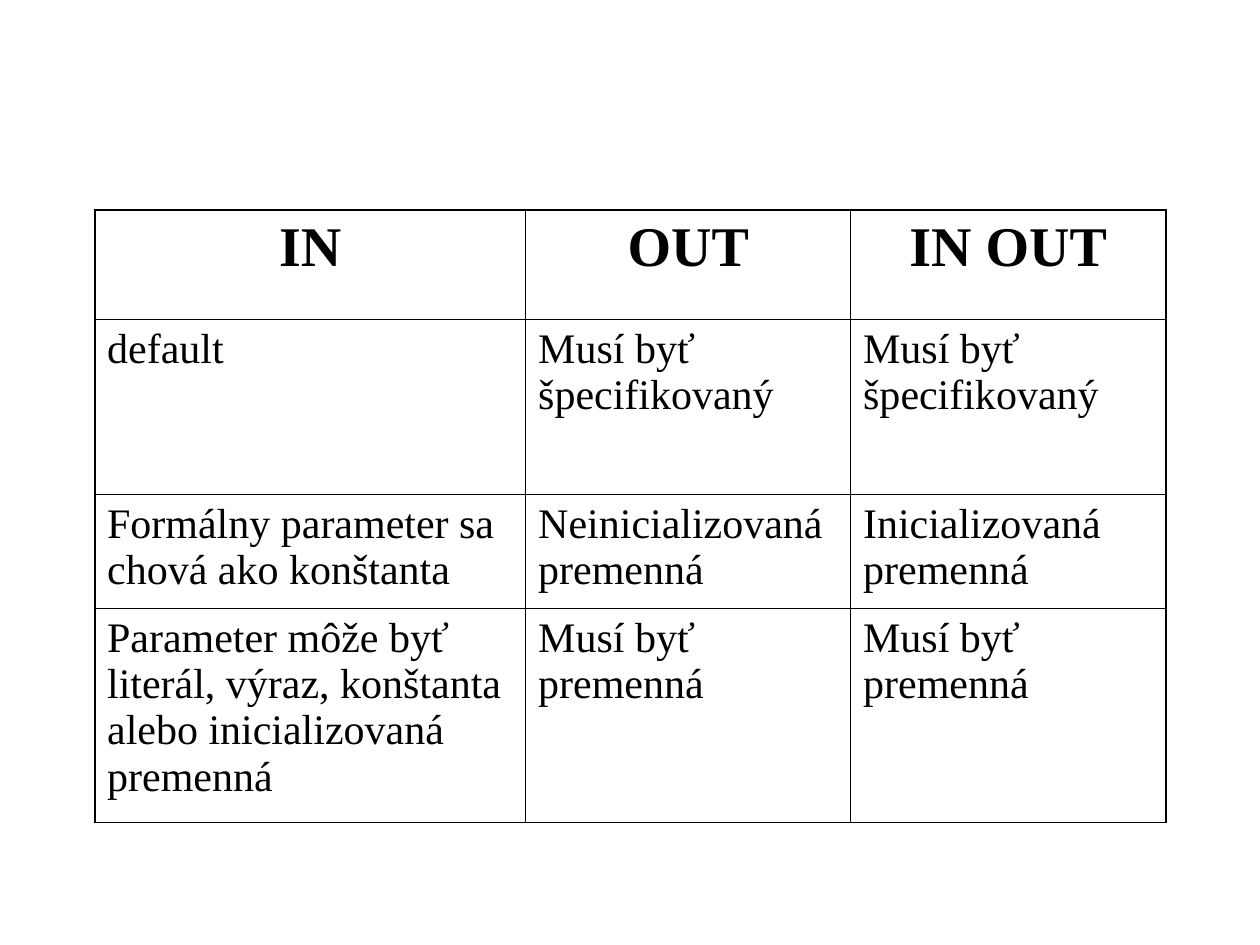
from dataclasses import dataclass

from lxml.etree import SubElement
from pptx import Presentation
from pptx.dml.color import RGBColor
from pptx.enum.text import MSO_ANCHOR, PP_ALIGN
from pptx.oxml.ns import qn
from pptx.table import Table, _Cell
from pptx.util import Cm, Pt

INK = "000000"
OUTER_WIDTH, INNER_WIDTH = Pt(1.08), Pt(0.45)
COLUMN_WIDTHS = (8.69, 6.55, 6.35)
CELL_FORMAT = {
    "margin_left": Cm(0.25),
    "margin_right": Cm(0.25),
    "margin_top": Cm(0.13),
    "margin_bottom": Cm(0.13),
    "vertical_anchor": MSO_ANCHOR.TOP,
}
HEADER_FORMAT = {"name": "Times New Roman", "size": Pt(32), "bold": True}
BODY_FORMAT = {"name": "Times New Roman", "size": Pt(24), "bold": False}


@dataclass(frozen=True)
class ModeRow:
    """One table row: its height in centimetres and its texts."""

    height: float
    texts: tuple[str, ...]


MODE_ROWS = (
    ModeRow(2.21, ("IN", "OUT", "IN OUT")),
    ModeRow(3.53, ("default", "Musí byť špecifikovaný", "Musí byť špecifikovaný")),
    ModeRow(2.29, (
        "Formálny parameter sa chová ako konštanta",
        "Neinicializovaná premenná",
        "Inicializovaná premenná",
    )),
    ModeRow(4.32, (
        "Parameter môže byť literál, výraz, konštanta alebo inicializovaná premenná",
        "Musí byť premenná",
        "Musí byť premenná",
    )),
)


def color(value: str) -> RGBColor:
    """Turn a hex string into a colour."""
    return RGBColor.from_string(value)


def apply_format(target: object, values: dict) -> None:
    """Set each named attribute on the target."""
    for name, value in values.items():
        setattr(target, name, value)


def draw_borders(cell: _Cell, row: int, column: int) -> None:
    """Draw heavier lines on the table's outer edge than inside it."""
    outer_sides = {
        "a:lnL": column == 0,
        "a:lnR": column == len(COLUMN_WIDTHS) - 1,
        "a:lnT": row == 0,
        "a:lnB": row == len(MODE_ROWS) - 1,
    }
    properties = cell._tc.get_or_add_tcPr()
    for position, (tag, is_outer) in enumerate(outer_sides.items()):
        width = OUTER_WIDTH if is_outer else INNER_WIDTH
        line = SubElement(properties, qn(tag), w=str(int(width)))
        fill = SubElement(line, qn("a:solidFill"))
        SubElement(fill, qn("a:srgbClr"), val=INK)
        properties.insert(position, line)


def fill_cell(cell: _Cell, text: str, is_header: bool) -> None:
    """Write and format one cell's text."""
    apply_format(cell, CELL_FORMAT)
    cell.fill.background()
    cell.text = text
    paragraph = cell.text_frame.paragraphs[0]
    paragraph.alignment = PP_ALIGN.CENTER if is_header else PP_ALIGN.LEFT
    font = paragraph.runs[0].font
    apply_format(font, HEADER_FORMAT if is_header else BODY_FORMAT)
    font.color.rgb = color(INK)


def fill_table(table: Table) -> None:
    """Size the grid and fill every cell."""
    apply_format(table, {"first_row": False, "horz_banding": False})
    for column, width in zip(table.columns, COLUMN_WIDTHS):
        column.width = Cm(width)
    for row_index, mode_row in enumerate(MODE_ROWS):
        table.rows[row_index].height = Cm(mode_row.height)
        for column_index, text in enumerate(mode_row.texts):
            cell = table.cell(row_index, column_index)
            fill_cell(cell, text, row_index == 0)
            draw_borders(cell, row_index, column_index)


def main() -> None:
    """Build the parameter mode comparison slide."""
    presentation = Presentation()
    apply_format(presentation, {"slide_width": Cm(25.4), "slide_height": Cm(19.05)})
    slide = presentation.slides.add_slide(presentation.slide_layouts[6])
    shape = slide.shapes.add_table(
        len(MODE_ROWS), len(COLUMN_WIDTHS), Cm(1.91), Cm(4.23),
        Cm(sum(COLUMN_WIDTHS)), Cm(sum(row.height for row in MODE_ROWS)),
    )
    fill_table(shape.table)
    presentation.save("out.pptx")


if __name__ == "__main__":
    main()
